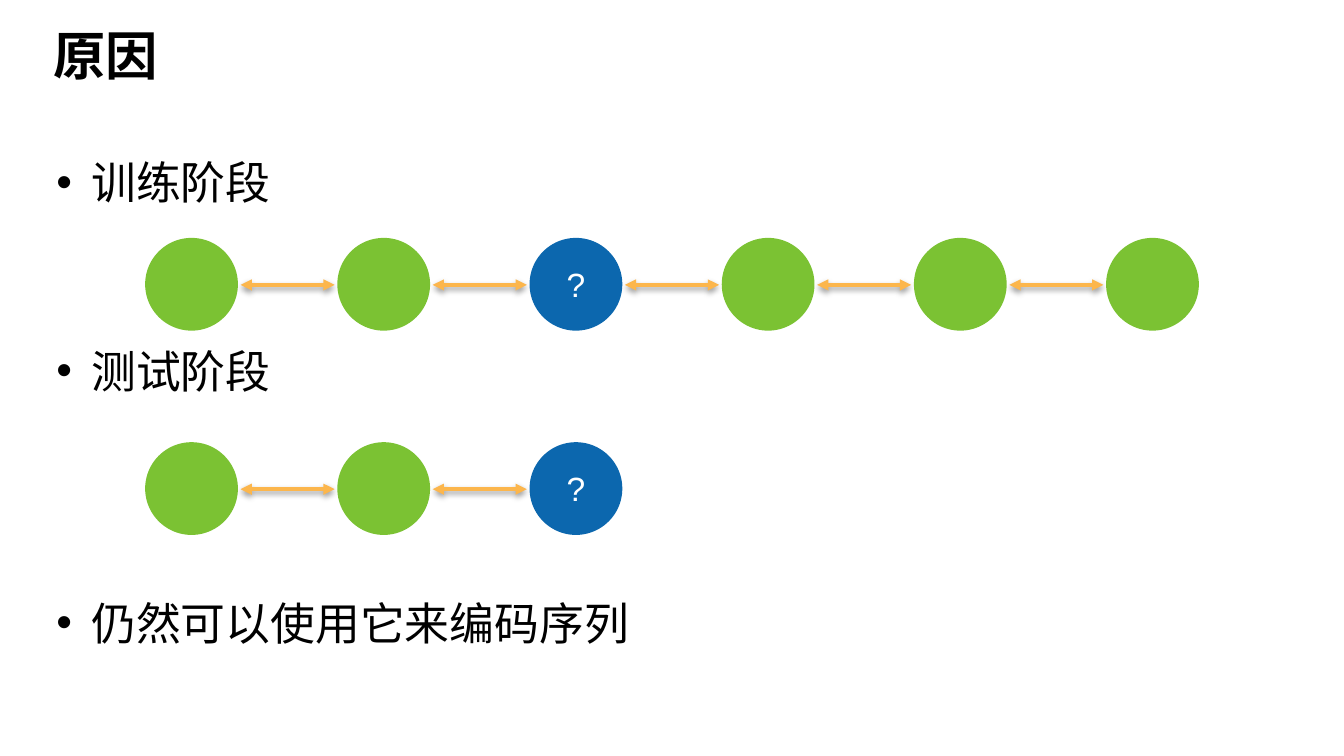
"""Build a slide comparing bidirectional sequences in training and testing."""
from lxml import etree
from pptx import Presentation
from pptx import util as u
from pptx.dml.color import RGBColor
from pptx.enum import shapes, text
from pptx.oxml import parse_xml
from pptx.oxml.ns import nsdecls, qn

BLACK = RGBColor(0x00, 0x00, 0x00)
WHITE = RGBColor(0xFF, 0xFF, 0xFF)
GREEN = RGBColor(0x7B, 0xC2, 0x33)
BLUE = RGBColor(0x0C, 0x67, 0xAE)
ORANGE = RGBColor(0xFC, 0xB6, 0x4C)

FRAME = {"word_wrap": True, "margin_left": u.Inches(0.05), "margin_right": u.Inches(0.05),
         "margin_top": u.Inches(0.05), "margin_bottom": u.Inches(0.05)}
TITLE = {"name": "Arial", "size": u.Pt(28), "bold": True}
BODY = {"name": "Arial", "size": u.Pt(24)}
MARK = {"name": "Arial", "size": u.Pt(18)}
SHADOW = (f'<a:effectLst {nsdecls("a")}><a:outerShdw blurRad="{u.Pt(3)}" dist="{u.Pt(1.6)}" '
          'dir="5400000" rotWithShape="0"><a:srgbClr val="000000"><a:alpha val="38000"/>'
          '</a:srgbClr></a:outerShdw></a:effectLst>')


def set_values(target, values):
    for name, value in values.items():
        setattr(target, name, value)


def write(paragraph, words, font, color):
    paragraph.add_run().text = words
    set_values(paragraph.runs[0].font, font)
    paragraph.runs[0].font.color.rgb = color


presentation = Presentation()
presentation.slide_width = u.Inches(10)
presentation.slide_height = u.Inches(10 * 9 / 16)
slide = presentation.slides.add_slide(presentation.slide_layouts[6])

title = slide.shapes.add_textbox(u.Inches(0.35), u.Inches(0.13), u.Inches(8.97), u.Inches(0.6))
set_values(title.text_frame, FRAME)
title.text_frame.paragraphs[0].line_spacing = u.Pt(33)
write(title.text_frame.paragraphs[0], "原因", TITLE, BLACK)

body = slide.shapes.add_textbox(u.Inches(0.37), u.Inches(1.1), u.Inches(8.97), u.Inches(4.45))
set_values(body.text_frame, FRAME)
points = [("训练阶段", 0), ("测试阶段", 72), ("仍然可以使用它来编码序列", 106)]
for index, (words, space) in enumerate(points):
    paragraph = body.text_frame.add_paragraph() if index else body.text_frame.paragraphs[0]
    set_values(paragraph, {"line_spacing": u.Pt(29), "space_before": u.Pt(space)})
    properties = paragraph._p.get_or_add_pPr()
    properties.set("marL", str(u.Inches(0.26)))
    properties.set("indent", str(u.Inches(-0.26)))
    etree.SubElement(properties, qn("a:buFont"), typeface="Arial")
    etree.SubElement(properties, qn("a:buChar"), char="•")
    write(paragraph, words, BODY, BLACK)

LEFT, PITCH, SIZE, GAP, UNKNOWN = 1.08, 1.43, 0.69, 0.02, 2
for top, count in [(1.77, 6), (3.29, 3)]:
    for index in range(count):
        left = LEFT + index * PITCH
        circle = slide.shapes.add_shape(shapes.MSO_SHAPE.OVAL, u.Inches(left), u.Inches(top),
                                        u.Inches(SIZE), u.Inches(SIZE))
        circle.shadow.inherit = False
        circle.fill.solid()
        circle.fill.fore_color.rgb = BLUE if index == UNKNOWN else GREEN
        circle.line.fill.background()
        if index == UNKNOWN:
            set_values(circle.text_frame, FRAME)
            circle.text_frame.vertical_anchor = text.MSO_ANCHOR.MIDDLE
            paragraph = circle.text_frame.paragraphs[0]
            paragraph.alignment = text.PP_ALIGN.CENTER
            write(paragraph, "?", MARK, WHITE)

    middle = u.Inches(top + 0.35)
    for index in range(count - 1):
        left = LEFT + index * PITCH
        arrow = slide.shapes.add_connector(
            shapes.MSO_CONNECTOR.STRAIGHT, u.Inches(left + SIZE + GAP), middle,
            u.Inches(left + PITCH - GAP), middle)
        arrow.line.color.rgb = ORANGE
        arrow.line.width = u.Pt(2)
        for end in ("a:headEnd", "a:tailEnd"):
            etree.SubElement(arrow.line._get_or_add_ln(), qn(end), type="triangle")
        arrow._element.spPr.append(parse_xml(SHADOW))

presentation.save("out.pptx")
